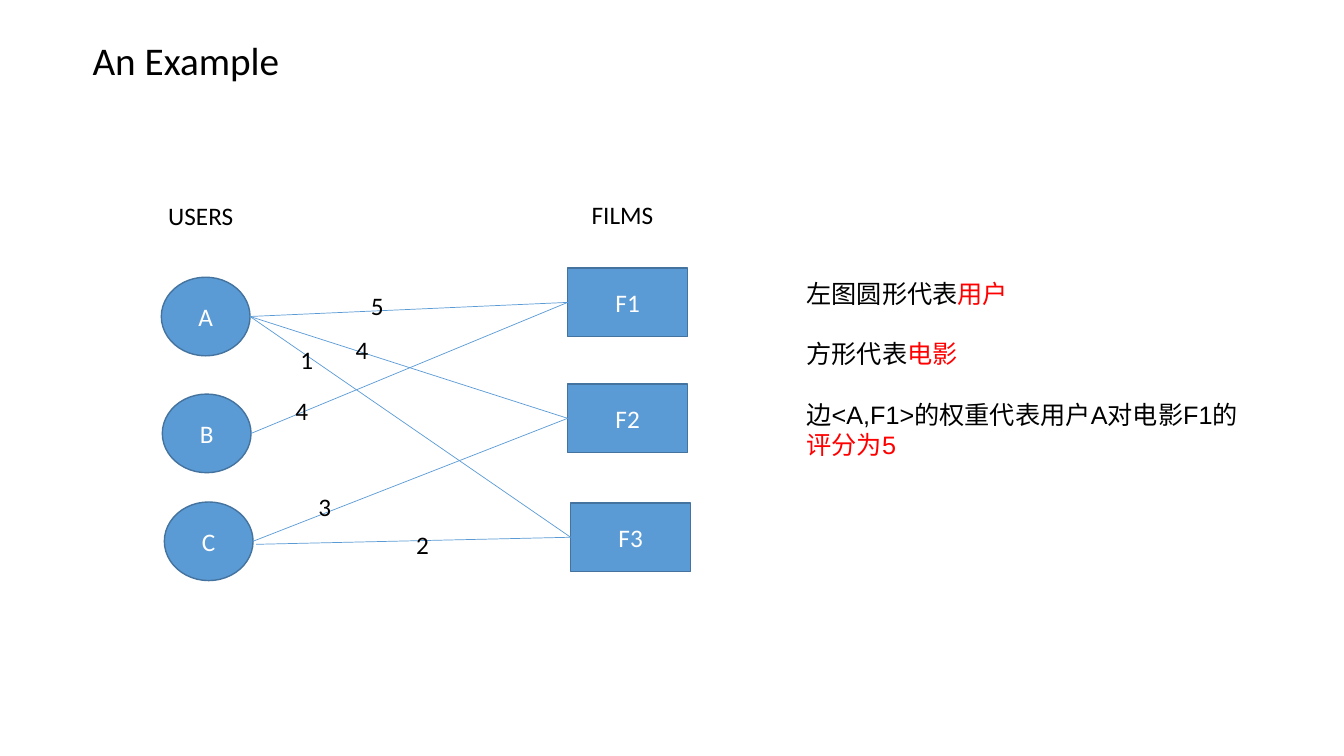
from dataclasses import dataclass

import pptx
import pptx.dml.color
import pptx.enum.shapes
import pptx.enum.text
import pptx.oxml
import pptx.oxml.ns
import pptx.shapes.autoshape
import pptx.slide
import pptx.text.text
import pptx.util

Inches = pptx.util.Inches
Pt = pptx.util.Pt
RGBColor = pptx.dml.color.RGBColor
MSO_SHAPE = pptx.enum.shapes.MSO_SHAPE

BLUE = RGBColor(0x5B, 0x9B, 0xD5)
DARK_BLUE = RGBColor(0x43, 0x73, 0x9E)
WHITE = RGBColor(0xFF, 0xFF, 0xFF)
BLACK = RGBColor(0x00, 0x00, 0x00)
RED = RGBColor(0xFF, 0x00, 0x00)

USER_SIZE = (0.88, 0.78)
FILM_SIZE = (1.19, 0.68)
RATING_SIZE = (0.35, 0.4)


@dataclass
class Node:
    name: str
    left: float
    top: float


@dataclass
class Rating:
    user: str
    film: str
    score: str
    label_left: float
    label_top: float
    start_shift: float = 0


@dataclass
class Label:
    text: str
    left: float
    top: float
    width: float
    height: float
    size: int = 18


USERS = [Node("A", 1.6, 2.75), Node("B", 1.61, 3.91), Node("C", 1.63, 4.98)]
FILMS = [Node("F1", 5.63, 2.66), Node("F2", 5.63, 3.81), Node("F3", 5.66, 4.99)]
RATINGS = [
    Rating("A", "F1", "5", 3.58, 2.83),
    Rating("A", "F2", "4", 3.43, 3.27),
    Rating("A", "F3", "1", 2.88, 3.37),
    Rating("B", "F1", "4", 2.83, 3.87),
    Rating("C", "F2", "3", 3.06, 4.83),
    Rating("C", "F3", "2", 4.03, 5.2, start_shift=0.03),
]
LABELS = [
    Label("An Example", 0.82, 0.31, 3.25, 0.57, size=28),
    Label("USERS", 1.57, 1.94, 1.12, 0.4),
    Label("FILMS", 5.77, 1.93, 1.23, 0.4),
]
# Each line of the explanation ends in a highlighted phrase.
EXPLANATION = [
    ("左图圆形代表", "用户"),
    ("方形代表", "电影"),
    ("边<A,F1>的权重代表用户A对电影F1的", "评分为5"),
]


def style_run(run: pptx.text.text._Run, color: RGBColor, size: int = 18,
              font: str = "Calibri") -> None:
    run.font.name = font
    run.font.size = Pt(size)
    run.font.color.rgb = color


def add_node(slide: pptx.slide.Slide, node: Node, kind: MSO_SHAPE,
             size: tuple[float, float]) -> pptx.shapes.autoshape.Shape:
    shape = slide.shapes.add_shape(
        kind, Inches(node.left), Inches(node.top), *map(Inches, size))
    shape.shadow.inherit = False
    shape.fill.solid()
    shape.fill.fore_color.rgb = BLUE
    shape.line.color.rgb = DARK_BLUE
    shape.line.width = Pt(1)
    frame = shape.text_frame
    frame.text = node.name
    frame.vertical_anchor = pptx.enum.text.MSO_ANCHOR.MIDDLE
    paragraph = frame.paragraphs[0]
    paragraph.alignment = pptx.enum.text.PP_ALIGN.CENTER
    style_run(paragraph.runs[0], WHITE)
    return shape


def add_edge(slide: pptx.slide.Slide, user: pptx.shapes.autoshape.Shape,
             film: pptx.shapes.autoshape.Shape, start_shift: float) -> None:
    """Join the right side of a user to the left side of a film."""
    shift = Inches(start_shift)
    connector = slide.shapes.add_connector(
        pptx.enum.shapes.MSO_CONNECTOR.STRAIGHT,
        user.left + user.width + shift, user.top + user.height // 2 + shift,
        film.left, film.top + film.height // 2)
    connector.line.color.rgb = BLUE
    connector.line.width = Pt(0.5)
    properties = connector._element.spPr
    properties.append(pptx.oxml.parse_xml(
        f"<a:effectLst {pptx.oxml.ns.nsdecls('a')}/>"))


def add_label(slide: pptx.slide.Slide, label: Label) -> None:
    box = slide.shapes.add_textbox(
        Inches(label.left), Inches(label.top),
        Inches(label.width), Inches(label.height))
    frame = box.text_frame
    frame.word_wrap = True
    frame.text = label.text
    style_run(frame.paragraphs[0].runs[0], BLACK, label.size)


def add_explanation(slide: pptx.slide.Slide) -> None:
    box = slide.shapes.add_textbox(
        Inches(7.9), Inches(2.71), Inches(4.69), Inches(1.92))
    frame = box.text_frame
    frame.word_wrap = True
    for index, phrases in enumerate(EXPLANATION):
        paragraph = frame.add_paragraph() if index else frame.paragraphs[0]
        if index:
            paragraph.space_before = Pt(21.6)
        for phrase, color in zip(phrases, (BLACK, RED)):
            run = paragraph.add_run()
            run.text = phrase
            style_run(run, color, font="Arial")


def main() -> None:
    presentation = pptx.Presentation()
    presentation.slide_width = Inches(13.33)
    presentation.slide_height = Inches(7.5)
    slide = presentation.slides.add_slide(presentation.slide_layouts[6])

    users = {node.name: add_node(slide, node, MSO_SHAPE.OVAL, USER_SIZE)
             for node in USERS}
    films = {node.name: add_node(slide, node, MSO_SHAPE.RECTANGLE, FILM_SIZE)
             for node in FILMS}
    for rating in RATINGS:
        add_edge(slide, users[rating.user], films[rating.film], rating.start_shift)
    for rating in RATINGS:
        add_label(slide, Label(
            rating.score, rating.label_left, rating.label_top, *RATING_SIZE))
    for label in LABELS:
        add_label(slide, label)
    add_explanation(slide)
    presentation.save("out.pptx")


if __name__ == "__main__":
    main()
